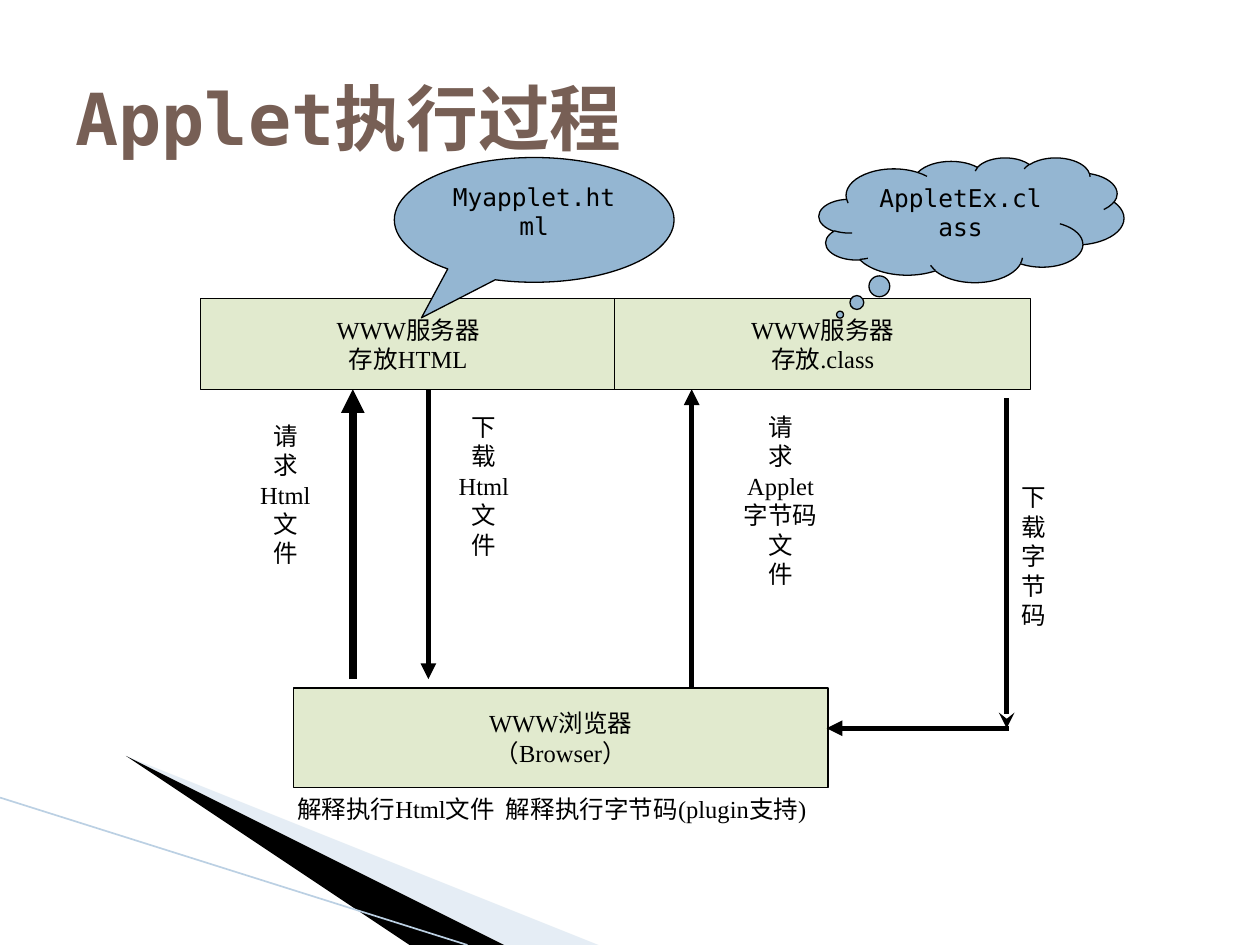
from lxml import etree
from pptx import Presentation
from pptx import util as u
from pptx.dml.color import RGBColor
from pptx.enum import shapes, text
from pptx.oxml.ns import qn

SERIF, MONO = "Times New Roman", "DejaVu Sans Mono"
CENTER, LEFT = text.PP_ALIGN.CENTER, text.PP_ALIGN.LEFT
BLACK, GREEN, BLUE = "000000", "E1EACE", "94B6D2"


def color(value):
    """Turn a hex string into a colour."""
    return RGBColor.from_string(value)


def write(shape, lines, align=CENTER, anchor=text.MSO_ANCHOR.TOP, wrap=True,
          grow=False, hue=BLACK, **font):
    """Fill a shape with one paragraph per line."""
    frame = shape.text_frame
    fit = text.MSO_AUTO_SIZE
    layout = {"word_wrap": wrap, "vertical_anchor": anchor,
              "auto_size": fit.SHAPE_TO_FIT_TEXT if grow else fit.NONE}
    for name, value in layout.items():
        setattr(frame, name, value)
    style = {"name": SERIF, "size": u.Pt(14), "bold": False} | font
    for index, line in enumerate(lines):
        para = frame.add_paragraph() if index else frame.paragraphs[0]
        para.alignment = align
        span = para.add_run()
        span.text = line
        for name, value in style.items():
            setattr(span.font, name, value)
        span.font.color.rgb = color(hue)


def add_label(page, place, lines, **style):
    """Add a text box."""
    box = page.shapes.add_textbox(*map(u.Inches, place))
    write(box, lines, **style)


def add_figure(page, kind, place, fill, width, lines, adjust=(), **style):
    """Add an outlined preset shape with text."""
    shape = page.shapes.add_shape(kind, *map(u.Inches, place))
    shape.shadow.inherit = False
    for index, value in enumerate(adjust):
        shape.adjustments[index] = value
    shape.fill.solid()
    shape.fill.fore_color.rgb = color(fill)
    shape.line.color.rgb = color(BLACK)
    shape.line.width = u.Pt(width)
    write(shape, lines, **style)


def add_line(page, start, end, width, head=None, hue=BLACK):
    """Add a straight line, with an arrowhead at its end if named."""
    line = page.shapes.add_connector(
        shapes.MSO_CONNECTOR.STRAIGHT, *map(u.Inches, start + end))
    line.line.color.rgb = color(hue)
    line.line.width = u.Pt(width)
    if head:
        etree.SubElement(line.line._ln, qn("a:tailEnd"), type=head)
    etree.SubElement(line._element.spPr, qn("a:effectLst"))


def add_wedge(page, points, fill, opacity=100):
    """Add a filled corner wedge without an outline."""
    start, *rest = points
    builder = page.shapes.build_freeform(*start, scale=u.Inches(1))
    builder.add_line_segments(rest, close=True)
    wedge = builder.convert_to_shape()
    wedge.shadow.inherit = False
    wedge.fill.solid()
    wedge.fill.fore_color.rgb = color(fill)
    wedge.line.fill.background()
    if opacity < 100:
        tint = wedge._element.spPr.find(".//" + qn("a:srgbClr"))
        etree.SubElement(tint, qn("a:alpha"), val=str(opacity * 1000))


def add_corner(page):
    """Decorate the lower left corner."""
    add_wedge(page, [(0.55, 6.5), (5.95, 7.5), (4.56, 7.5)], "C0D3E6", 40)
    add_wedge(page, [(0.53, 6.49), (4.57, 7.5), (3.72, 7.5)], BLACK)
    add_line(page, (0, 6.33), (3.71, 7.5), 0.95, hue="BBD0E3")


def main():
    """Build the slide."""
    deck = Presentation()
    deck.slide_width, deck.slide_height = u.Inches(10), u.Inches(7.5)
    page = deck.slides.add_slide(deck.slide_layouts[6])
    middle = text.MSO_ANCHOR.MIDDLE
    kinds = shapes.MSO_SHAPE

    add_corner(page)
    add_label(page, (0.5, 0.3, 9, 1.25), ["Applet执行过程"], align=LEFT, anchor=middle,
              hue="775F55", name=MONO, size=u.Pt(41), bold=True)

    add_figure(page, kinds.RECTANGLE, (2.33, 5.46, 4.24, 0.79), GREEN, 1,
               ["WWW浏览器", "（Browser）"], anchor=middle, wrap=False)
    for left, content in ((1.59, "存放HTML"), (4.88, "存放.class")):
        add_figure(page, kinds.RECTANGLE, (left, 2.37, 3.3, 0.72), GREEN, 0.75,
                   ["WWW服务器", content], anchor=middle, wrap=False)

    for start, end, width, head in (
            ((2.8, 5.39), (2.8, 3.09), 4.5, "triangle"),
            ((3.4, 3.09), (3.4, 5.39), 3, "triangle"),
            ((5.49, 5.46), (5.49, 3.09), 3, "triangle"),
            ((7.99, 3.16), (7.99, 5.78), 3, "stealth"),
            ((8.01, 5.78), (6.56, 5.78), 3, "triangle")):
        add_line(page, start, end, width, head)

    for place, lines in (
            ((1.86, 3.29, 0.81, 1.28), ["请", "求", "Html", "文", "件"]),
            ((3.47, 3.22, 0.74, 1.28), ["下", "载Html", "文", "件"]),
            ((5.69, 3.22, 1.01, 1.51), ["请", "求", "Applet", "字节码", "文", "件"])):
        add_label(page, place, lines, grow=True)
    add_label(page, (8.01, 3.78, 0.4, 1.28), "下载字节码", align=LEFT, wrap=False, grow=True)
    add_label(page, (2.26, 6.25, 5.3, 0.34),
              ["解释执行Html文件  解释执行字节码(plugin支持)"], align=LEFT, grow=True)

    for kind, place, adjust, name in (
            (kinds.OVAL_CALLOUT, (3.13, 1.25, 2.22, 0.99), (-0.403, 0.785), "Myapplet.html"),
            (kinds.CLOUD_CALLOUT, (6.5, 1.25, 2.42, 0.99), (-0.431, 0.76), "AppletEx.class")):
        add_figure(page, kind, place, BLUE, 0.75, [name], adjust, name=MONO)

    deck.save("out.pptx")


if __name__ == "__main__":
    main()
